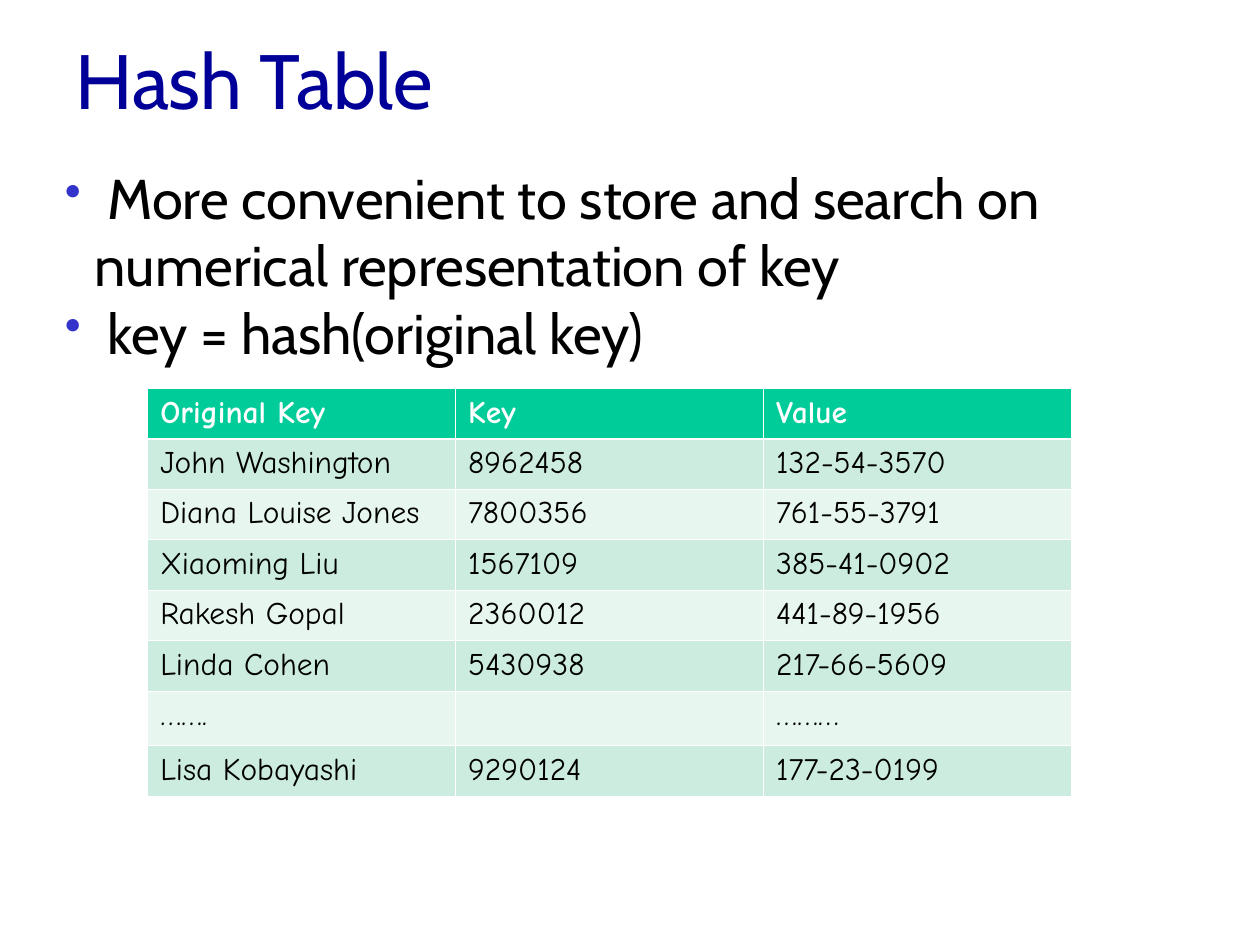
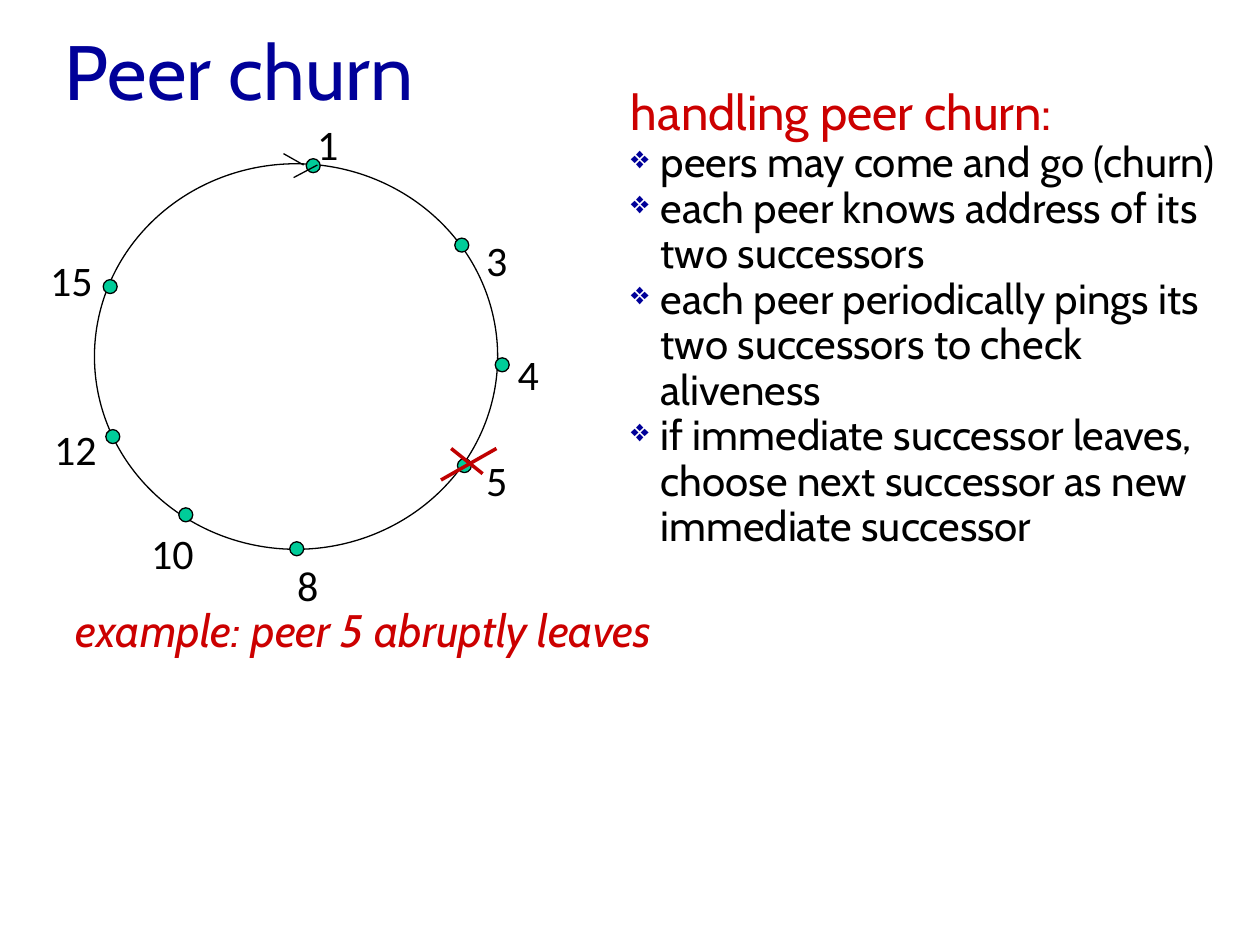
from lxml.etree import SubElement
from pptx import Presentation
from pptx.dml.color import RGBColor
from pptx.enum.shapes import MSO_CONNECTOR as Connector, MSO_SHAPE as Shape
from pptx.enum.text import MSO_ANCHOR as Anchor
from pptx.oxml.ns import qn
from pptx.util import Pt

NAVY = RGBColor(0x00, 0x00, 0x99)
BLUE = RGBColor(0x33, 0x33, 0xCC)
GREEN = RGBColor(0x00, 0xCC, 0x99)
MINT = RGBColor(0xCB, 0xEC, 0xDE)
PALE_MINT = RGBColor(0xE7, 0xF6, 0xEF)
RED = RGBColor(0xCC, 0x00, 0x00)
DARK_RED = RGBColor(0xC0, 0x00, 0x00)
BLACK = RGBColor(0x00, 0x00, 0x00)
WHITE = RGBColor(0xFF, 0xFF, 0xFF)

BODY_FONT = "Cabin"
LABEL_FONT = "Calibri"
TABLE_FONT = "Comic Neue"
BULLET_INDENT = Pt(17)

KEY_RECORDS = [
    ("Original Key", "Key", "Value"),
    ("John Washington", "8962458", "132-54-3570"),
    ("Diana Louise Jones", "7800356", "761-55-3791"),
    ("Xiaoming Liu", "1567109", "385-41-0902"),
    ("Rakesh Gopal", "2360012", "441-89-1956"),
    ("Linda Cohen", "5430938", "217-66-5609"),
    ("…….", "", "………"),
    ("Lisa Kobayashi", "9290124", "177-23-0199"),
]
ELLIPSIS_ROW = 6

PEERS = [
    ("8", (165.6, 309.6), (162.7, 316.1)),
    ("15", (59, 159.8), (21.6, 141.8)),
    ("12", (60.5, 245.5), (23.8, 238.3)),
    ("3", (259.9, 136.1), (270.7, 130.3)),
    ("4", (283, 204.5), (288.7, 195.8)),
    ("5", (261.4, 262.1), (270.7, 256.3)),
    ("10", (102.2, 290.2), (79.2, 298.1)),
    ("1", (175, 90.7), (174.2, 64.1)),
]
DOT_SIZE = 8

CHURN_RULES = [
    "peers may come and go (churn)",
    "each peer knows address of its two successors",
    "each peer periodically pings its \vtwo successors to check aliveness",
    "if immediate successor leaves, choose next successor as new immediate successor",
]


def write(paragraph, text, size=18, font=BODY_FONT, color=BLACK, bold=False,
          italic=False, spacing=None, bullet=None):
    if bullet:
        symbol, bullet_color, percent = bullet
        properties = paragraph._p.get_or_add_pPr()
        properties.set("marL", str(BULLET_INDENT))
        properties.set("indent", str(-BULLET_INDENT))
        tint = SubElement(properties, qn("a:buClr"))
        SubElement(tint, qn("a:srgbClr"), val=str(bullet_color))
        SubElement(properties, qn("a:buSzPct"), val=str(percent * 1000))
        SubElement(properties, qn("a:buChar"), char=symbol)
    paragraph.text = text
    if spacing:
        paragraph.line_spacing = spacing
    for run in paragraph.runs:
        run.font.size = Pt(size)
        run.font.name = font
        run.font.color.rgb = color
        run.font.bold = bold
        run.font.italic = italic


class Deck:
    def __init__(self):
        self.presentation = Presentation()
        self.presentation.slide_width = Pt(720)
        self.presentation.slide_height = Pt(540)
        self.slide = None

    def new_slide(self):
        blank = self.presentation.slide_layouts[6]
        self.slide = self.presentation.slides.add_slide(blank)

    def text(self, left, top, width, height, *paragraphs, wrap=True,
             anchor=Anchor.TOP):
        box = self.slide.shapes.add_textbox(Pt(left), Pt(top), Pt(width), Pt(height))
        frame = box.text_frame
        frame.word_wrap = wrap
        frame.vertical_anchor = anchor
        for index, (content, style) in enumerate(paragraphs):
            paragraph = frame.add_paragraph() if index else frame.paragraphs[0]
            write(paragraph, content, **style)

    def title(self, content, left, height):
        self.text(left, 0, 648, height, (content, dict(size=44, color=NAVY)),
                  anchor=Anchor.MIDDLE)

    def ellipse(self, left, top, width, height, fill=None):
        oval = self.slide.shapes.add_shape(
            Shape.OVAL, Pt(left), Pt(top), Pt(width), Pt(height))
        oval.shadow.inherit = False
        if fill is None:
            oval.fill.background()
        else:
            oval.fill.solid()
            oval.fill.fore_color.rgb = fill
        oval.line.color.rgb = BLACK
        oval.line.width = Pt(0.75)

    def line(self, start, end, color=BLACK, weight=0.75):
        stroke = self.slide.shapes.add_connector(
            Connector.STRAIGHT, *(Pt(value) for value in (*start, *end)))
        stroke.line.color.rgb = color
        stroke.line.width = Pt(weight)
        SubElement(stroke._element.spPr, qn("a:effectLst"))

    def borders(self, cell, row):
        weights = {"L": 0.45, "R": 0.45,
                   "T": 1.47 if row == 1 else 0.45,
                   "B": 1.47 if row == 0 else 0.45}
        for side, weight in weights.items():
            edge = SubElement(cell._tc.get_or_add_tcPr(), qn(f"a:ln{side}"),
                              w=str(Pt(weight)))
            fill = SubElement(edge, qn("a:solidFill"))
            SubElement(fill, qn("a:srgbClr"), val=str(WHITE))

    def table(self, left, top, column_width, row_heights, records):
        columns = len(records[0])
        table = self.slide.shapes.add_table(
            len(records), columns, Pt(left), Pt(top),
            Pt(column_width * columns), Pt(sum(row_heights))).table
        table.horz_banding = False
        for column in table.columns:
            column.width = Pt(column_width)
        for row, record in enumerate(records):
            table.rows[row].height = Pt(row_heights[row])
            header = row == 0
            band = GREEN if header else MINT if row % 2 else PALE_MINT
            for column, content in enumerate(record):
                cell = table.cell(row, column)
                self.borders(cell, row)
                cell.fill.solid()
                cell.fill.fore_color.rgb = band
                write(cell.text_frame.paragraphs[0], content, font=TABLE_FONT,
                      color=WHITE if header else BLACK, bold=header)


def hash_table_slide(deck):
    deck.new_slide()
    row_heights = [31.4 if row == ELLIPSIS_ROW else 28.8
                   for row in range(len(KEY_RECORDS))]
    deck.table(84.4, 222, 176, row_heights, KEY_RECORDS)
    point = dict(size=32, bullet=("•", BLUE, 85))
    deck.text(30, 90, 636, 161,
              (" More convenient to store and search on numerical representation of key",
               point),
              (" key = hash(original key)", point))
    deck.title("Hash Table", 36, 90)


def peer_churn_slide(deck):
    deck.new_slide()
    deck.title("Peer churn", 30, 80)
    deck.text(36, 344.2, 648, 168,
              ("example: peer 5 abruptly leaves",
               dict(size=26, color=RED, italic=True, spacing=0.9)))

    deck.ellipse(54, 93.6, 230.4, 220.3)
    for peer, dot, label in PEERS:
        deck.ellipse(*dot, DOT_SIZE, DOT_SIZE, fill=GREEN)
        deck.text(*label, 14.4 + 12.2 * len(peer), 36,
                  (peer, dict(size=24, font=LABEL_FONT)), wrap=False)

    deck.line((162, 87.8), (173.5, 94.3))
    deck.line((181.4, 94.3), (167.8, 101.5))
    deck.line((257.8, 256.3), (275.8, 270.7), DARK_RED, 2)
    deck.line((283.7, 256.3), (252, 274.3), DARK_RED, 2)

    rule = dict(size=24, spacing=Pt(26), bullet=("❖", NAVY, 75))
    deck.text(353.5, 43.2, 348.5, 381.6,
              ("handling peer churn:", dict(size=28, color=RED)),
              *((content, rule) for content in CHURN_RULES))


def main():
    deck = Deck()
    hash_table_slide(deck)
    peer_churn_slide(deck)
    deck.presentation.save("out.pptx")


if __name__ == "__main__":
    main()
